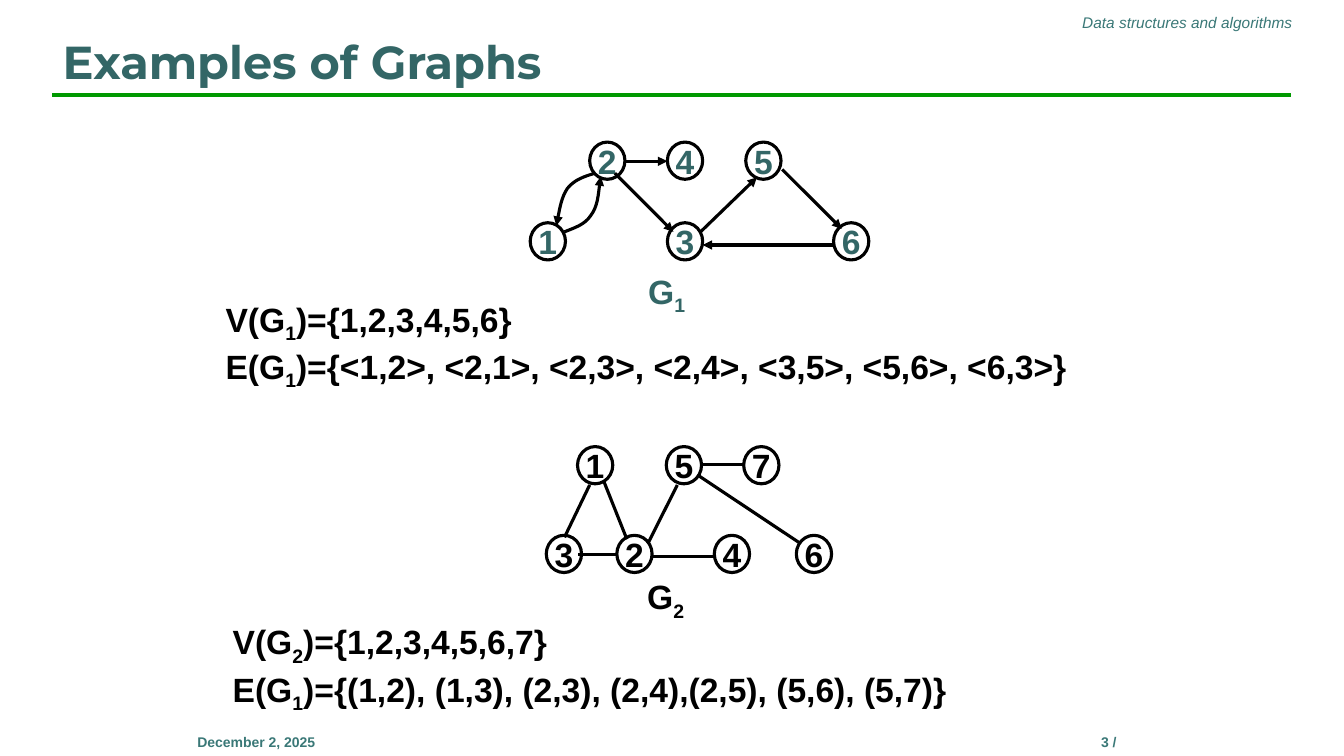
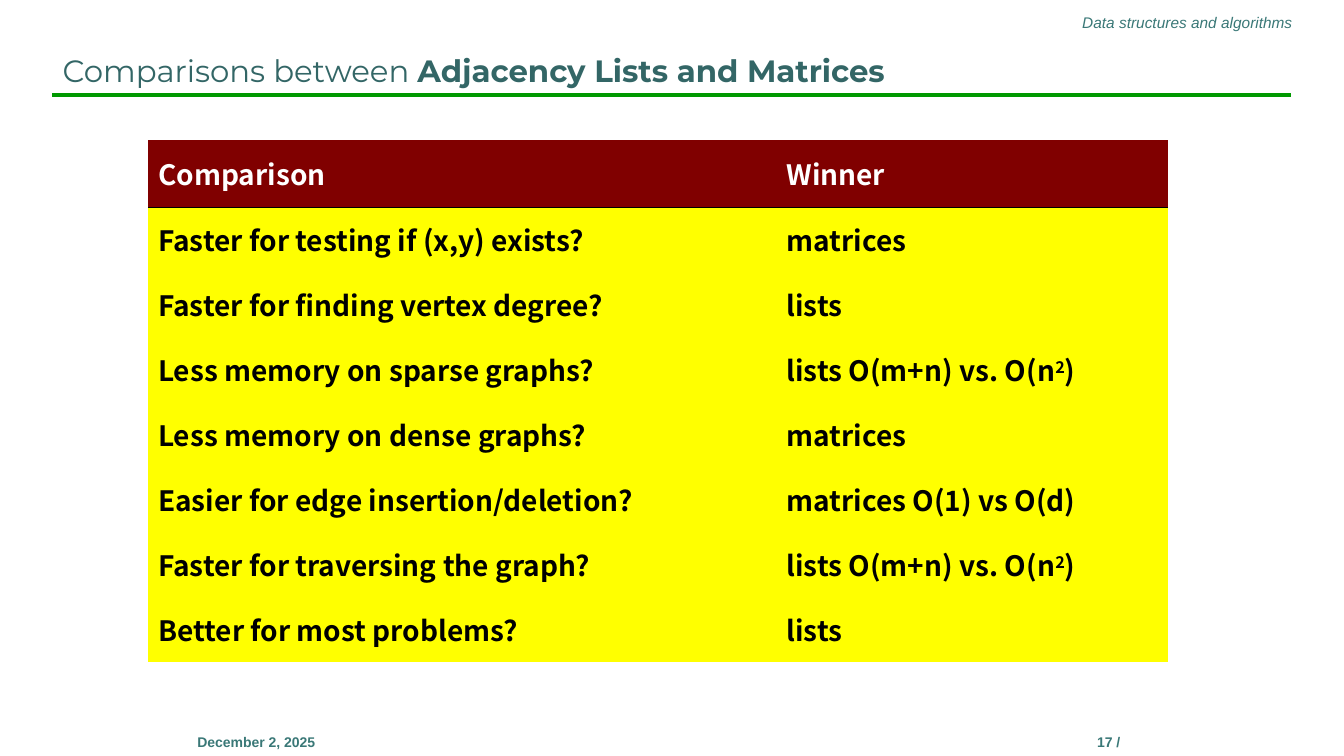
from lxml import etree
from pptx import Presentation
from pptx.dml.color import RGBColor
from pptx.enum import shapes, text
from pptx.oxml import ns
from pptx.util import Pt

COLORS = {"title": "336666", "footer": "3A7877", "rule": "009900", "ink": "000000",
          "header": "800000", "cell": "FFFF00", "white": "FFFFFF"}
NODE_W, NODE_H = 25.2, 26.6
LINE_W = 2.25
SUB, SUPER = -25000, 30000
NO_GRID_STYLE = "{2D5ABB26-0587-4C30-8999-92F81FD0307C}"
FOOTER = {"name": "Arial", "size": Pt(10), "bold": True}
GRAPH = {"name": "Arial", "size": Pt(24), "bold": True}
TABLE = {"name": "Noto Sans CJK SC", "size": Pt(20), "bold": True}
LEFT, CENTER, RIGHT = text.PP_ALIGN.LEFT, text.PP_ALIGN.CENTER, text.PP_ALIGN.RIGHT

# Nodes are top left corners; all places are relative to the graph's own corner.
G1 = {
    "at": (378.7, 101.5), "color": "title", "arrow": True,
    "nodes": {"2": (42.5, 0), "4": (98, 0), "5": (154, 0),
              "1": (0, 57.6), "3": (98, 57.6), "6": (216.7, 57.6)},
    "edges": [((67, 13.7), (98, 13.7)), ((60.5, 22.3), (102.3, 64.1)),
              ((217.5, 73.5), (123.2, 73.5)), ((121, 64.8), (162, 25.2)),
              ((180, 19.5), (222.5, 62))],
    "curves": [[(46, 22.3), (39, 24.5), (31.7, 26.7), (26.6, 33.1),
                (22.3, 39.6), (19.5, 55.5), (18.7, 59.8)],
               [(24.5, 64.1), (31.7, 61.2), (39, 59), (43.2, 52.6),
                (48.3, 46.1), (49.7, 28.8), (50.4, 24.5)]],
    "label": ("G", "1"), "label_at": (76.3, 90),
}
G2 = {
    "at": (390.2, 319), "color": "ink", "arrow": False,
    "nodes": {"1": (22.3, 0), "5": (85.7, 0), "7": (141, 0), "3": (0, 63.4),
              "2": (50.4, 63.4), "4": (120, 63.4), "6": (178.6, 63.4)},
    "edges": [((31, 27.4), (13, 64.8)), ((23, 77), (50.4, 77)),
              ((41, 24.5), (57.6, 66.2)), ((93.6, 27.4), (72.7, 69.1)),
              ((75.6, 78.5), (120, 78.5)), ((110, 13), (141, 13)),
              ((108, 20.2), (181.4, 69.1))],
    "curves": [],
    "label": ("G", "2"), "label_at": (64, 90.7),
}
SETS = [
    ((154, 213.8, 646.6, 65.5),
     [("V(G", "1", ")={1,2,3,4,5,6}"),
      ("E(G", "1", ")={<1,2>, <2,1>, <2,3>, <2,4>, <3,5>, <5,6>, <6,3>}")]),
    ((159.1, 444.2, 530, 65.5),
     [("V(G", "2", ")={1,2,3,4,5,6,7}"),
      ("E(G", "1", ")={(1,2), (1,3), (2,3), (2,4),(2,5), (5,6), (5,7)}")]),
]
LISTS_COST = ("lists O(m+n) vs. O(n", "2", ")")
COMPARISON = [
    (("Comparison",), ("Winner",)),
    (("Faster for testing if (x,y) exists?",), ("matrices",)),
    (("Faster for finding vertex degree?",), ("lists",)),
    (("Less memory on sparse graphs?",), LISTS_COST),
    (("Less memory on dense graphs?",), ("matrices",)),
    (("Easier for edge insertion/deletion?",), ("matrices O(1) vs O(d)",)),
    (("Faster for traversing the graph?",), LISTS_COST),
    (("Better for most problems?",), ("lists",)),
]


def rgb(color):
    return RGBColor.from_string(COLORS[color])


def pts(*values):
    return [Pt(v) for v in values]


def add_run(p, words, fmt, color):
    r = p.add_run()
    r.text = words
    for name, value in fmt.items():
        setattr(r.font, name, value)
    r.font.color.rgb = rgb(color)
    return r


def write(p, parts, fmt, color, align=LEFT, shift=SUB):
    """Write the parts as runs, raising or lowering every second one."""
    p.alignment = align
    for i, words in enumerate(parts):
        r = add_run(p, words, fmt, color)
        if i % 2:
            r.font._element.set("baseline", str(shift))


def add_label(owner, box, lines, fmt, color, align=LEFT,
              anchor=text.MSO_ANCHOR.TOP, wrap=True, gap=0):
    tf = owner.shapes.add_textbox(*pts(*box)).text_frame
    tf.word_wrap, tf.vertical_anchor = wrap, anchor
    for i, parts in enumerate(lines):
        p = tf.paragraphs[0] if i == 0 else tf.add_paragraph()
        p.space_after = Pt(gap)
        write(p, parts, fmt, color, align)


def style_line(sp, color="ink", width=LINE_W, arrow=False):
    sp.line.color.rgb = rgb(color)
    sp.line.width = Pt(width)
    if arrow:
        etree.SubElement(sp.line._get_or_add_ln(), ns.qn("a:tailEnd"), type="triangle")


def add_line(owner, start, end, **style):
    sp = owner.shapes.add_connector(shapes.MSO_CONNECTOR.STRAIGHT, *pts(*start, *end))
    style_line(sp, **style)
    etree.SubElement(sp._element.spPr, ns.qn("a:effectLst"))


def add_curve(owner, points, arrow):
    """Draw a start point followed by groups of three Bezier points."""
    first, *rest = [pts(*point) for point in points]
    builder = owner.shapes.build_freeform(*first)
    builder.add_line_segments(rest, close=False)
    sp = builder.convert_to_shape()
    sp.fill.background()
    style_line(sp, arrow=arrow)
    sp.shadow.inherit = False
    outline = sp._element.find(".//" + ns.qn("a:path"))
    segments = outline.findall(ns.qn("a:lnTo"))
    for i in range(0, len(segments), 3):
        bezier = etree.SubElement(outline, ns.qn("a:cubicBezTo"))
        for segment in segments[i:i + 3]:
            bezier.append(segment[0])
            outline.remove(segment)


def add_node(owner, x, y, name, color):
    sp = owner.shapes.add_shape(shapes.MSO_SHAPE.OVAL, *pts(x, y, NODE_W, NODE_H))
    sp.fill.background()
    style_line(sp)
    sp.shadow.inherit = False
    tf = sp.text_frame
    tf.word_wrap, tf.vertical_anchor = False, text.MSO_ANCHOR.MIDDLE
    write(tf.paragraphs[0], (name,), GRAPH, color, CENTER)


def add_graph(slide, graph):
    left, top = graph["at"]
    group = slide.shapes.add_group_shape()

    def place(point):
        return left + point[0], top + point[1]

    for name, corner in graph["nodes"].items():
        add_node(group, *place(corner), name, graph["color"])
    for start, end in graph["edges"]:
        add_line(group, place(start), place(end), arrow=graph["arrow"])
    for curve in graph["curves"]:
        add_curve(group, [place(point) for point in curve], graph["arrow"])
    add_label(group, (*place(graph["label_at"]), 42.5, 36.7), [graph["label"]], GRAPH,
              graph["color"], CENTER, text.MSO_ANCHOR.MIDDLE, wrap=False)


def add_comparison(slide, left, top, widths, header_h, row_h):
    heights = [header_h] + [row_h] * (len(COMPARISON) - 1)
    frame = slide.shapes.add_table(len(heights), len(widths),
                                   *pts(left, top, sum(widths), sum(heights)))
    table = frame.table
    table.horz_banding = False
    table._tbl.tblPr.find(ns.qn("a:tableStyleId")).text = NO_GRID_STYLE
    for column, width in zip(table.columns, widths):
        column.width = Pt(width)
    for i, (row, height) in enumerate(zip(table.rows, heights)):
        row.height = Pt(height)
        for cell, parts in zip(row.cells, COMPARISON[i]):
            if i == 0:
                add_bottom_border(cell)
            cell.fill.solid()
            cell.fill.fore_color.rgb = rgb("cell" if i else "header")
            cell.vertical_anchor = text.MSO_ANCHOR.MIDDLE
            p = cell.text_frame.paragraphs[0]
            write(p, parts, TABLE, "ink" if i else "white", shift=SUPER)
            for r in p.runs:
                etree.SubElement(r.font._element, ns.qn("a:ea"), typeface=TABLE["name"])


def add_bottom_border(cell):
    ln = etree.SubElement(cell._tc.get_or_add_tcPr(), ns.qn("a:lnB"), w=str(Pt(1)))
    fill = etree.SubElement(ln, ns.qn("a:solidFill"))
    etree.SubElement(fill, ns.qn("a:srgbClr"), val=COLORS["ink"])


def add_base_slide(prs, number, title_runs, size):
    """Add a slide with the shared rule, header, footers and title."""
    slide = prs.slides.add_slide(prs.slide_layouts[5])
    add_line(slide, (37.5, 67.7), (922.5, 67.7), color="rule", width=3)
    header = {"name": "Arial", "size": Pt(11), "italic": True}
    add_label(slide, (405.4, 5.8, 525, 21), [("Data structures and algorithms",)],
              header, "footer", RIGHT)
    for left, words in ((684, f"{number} /"), (75, "December 2, 2025")):
        add_label(slide, (left, 520.6, 216, 36), [(words,)], FOOTER, "footer", CENTER)

    title = slide.shapes.title
    title.left, title.top, title.width, title.height = pts(37.5, 16.6, 885, 50.4)
    tf = title.text_frame
    tf.auto_size = text.MSO_AUTO_SIZE.NONE
    tf.vertical_anchor = text.MSO_ANCHOR.BOTTOM
    p = tf.paragraphs[0]
    p.alignment = LEFT
    for words, bold in title_runs:
        add_run(p, words, {"name": "Montserrat", "size": Pt(size), "bold": bold}, "title")
    return slide


def add_graphs_slide(prs):
    slide = add_base_slide(prs, 3, [("Examples of Graphs", True)], 33)
    for graph, (box, lines) in zip((G1, G2), SETS):
        add_graph(slide, graph)
        add_label(slide, box, lines, GRAPH, "ink", anchor=text.MSO_ANCHOR.MIDDLE, gap=1)


def add_comparison_slide(prs):
    slide = add_base_slide(prs, 17, [("Comparisons between ", False),
                                     ("Adjacency Lists and Matrices", True)], 22)
    add_comparison(slide, 105.8, 100, (448.8, 279.8), 48, 46.4)


def main():
    prs = Presentation()
    prs.slide_width, prs.slide_height = pts(960, 540)
    add_graphs_slide(prs)
    add_comparison_slide(prs)
    prs.save("out.pptx")


if __name__ == "__main__":
    main()
